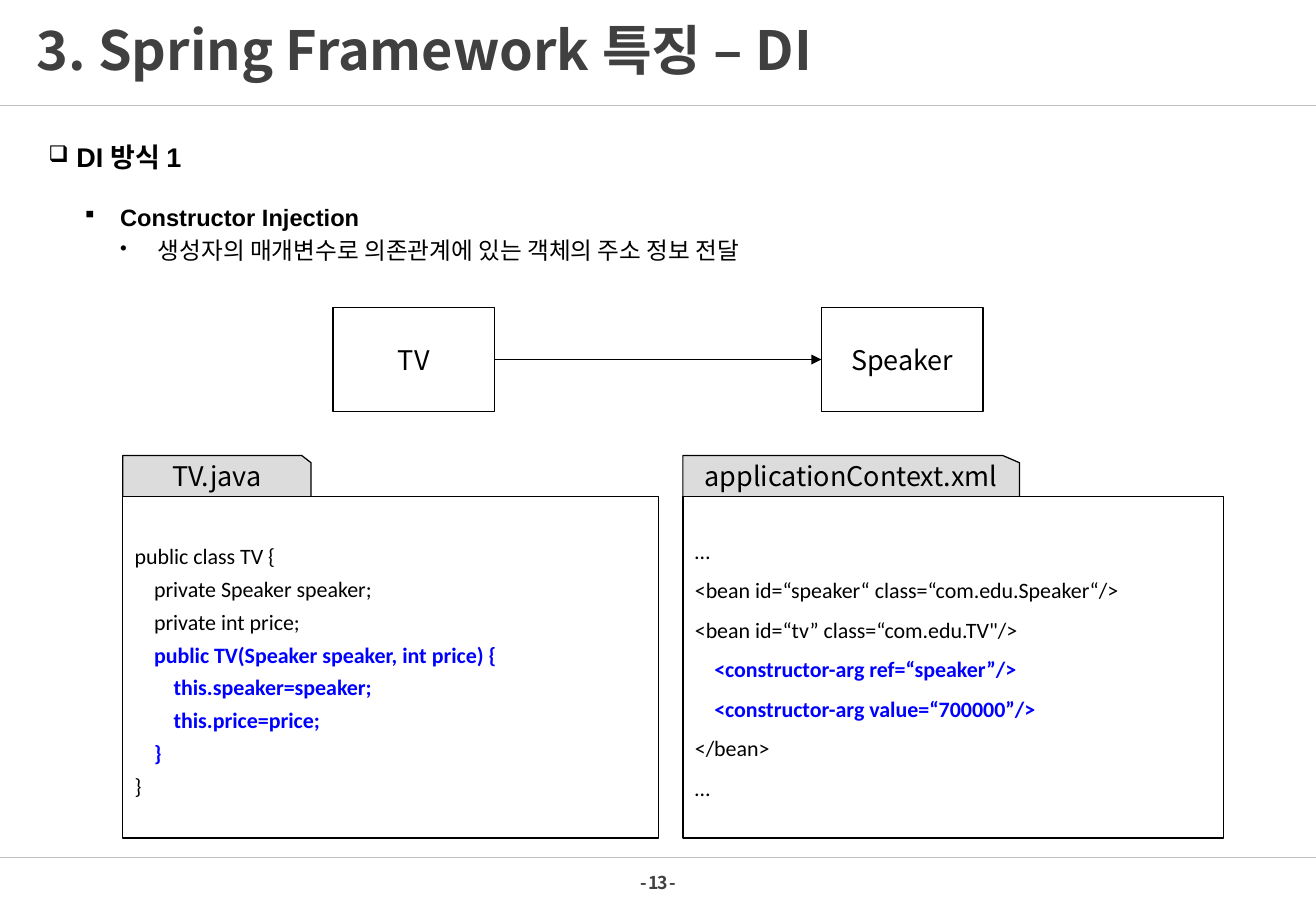
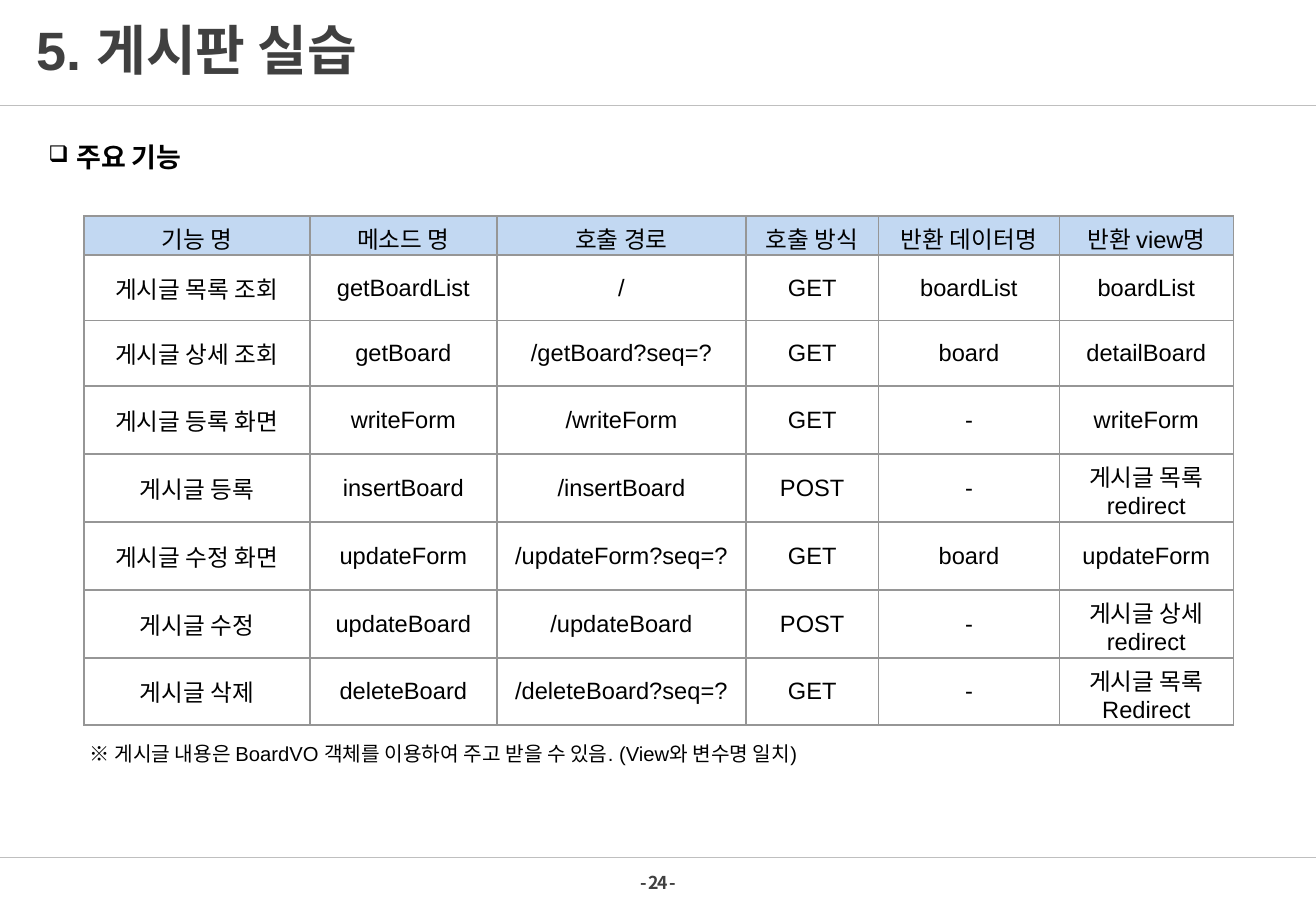
from dataclasses import dataclass

from lxml.etree import SubElement
from pptx import Presentation
from pptx.dml.color import RGBColor
from pptx.enum.shapes import MSO_CONNECTOR, MSO_SHAPE
from pptx.enum.text import MSO_ANCHOR, MSO_AUTO_SIZE, PP_ALIGN
from pptx.oxml.ns import qn
from pptx.util import Inches, Pt


@dataclass(frozen=True)
class Theme:
    black = RGBColor(0x00, 0x00, 0x00)
    white = RGBColor(0xFF, 0xFF, 0xFF)
    title_grey = RGBColor(0x40, 0x40, 0x40)
    rule_grey = RGBColor(0xBF, 0xBF, 0xBF)
    tab_grey = RGBColor(0xDC, 0xDC, 0xDC)
    border_grey = RGBColor(0x96, 0x96, 0x96)
    header_blue = RGBColor(0xC2, 0xD8, 0xF2)
    code_blue = RGBColor(0x00, 0x00, 0xFF)
    sans = "Noto Sans CJK KR"
    latin = "Arial"
    code = "Calibri"
    title_size = Pt(32)
    heading_size = Pt(16)
    body_size = Pt(14)
    code_size = Pt(13)
    note_size = Pt(12)
    page_size = Pt(10.5)
    code_indent = Inches(0.16)


THEME = Theme()


@dataclass(frozen=True)
class Box:
    """A region of the slide, in inches."""
    left: float
    top: float
    width: float
    height: float

    @property
    def lengths(self):
        return [Inches(v) for v in (self.left, self.top, self.width, self.height)]


def style(paragraph, size, face=THEME.latin, color=THEME.black, bold=False,
          align=PP_ALIGN.LEFT):
    paragraph.alignment = align
    font = paragraph.font
    font.size, font.name, font.bold = size, face, bold
    font.color.rgb = color
    SubElement(paragraph._p.pPr.find(qn("a:defRPr")), qn("a:ea"), typeface=THEME.sans)


def add_bullet(paragraph, char, left, hang):
    """Give the paragraph a hanging bullet; call before style()."""
    properties = paragraph._p.get_or_add_pPr()
    properties.set("marL", str(Inches(left)))
    properties.set("indent", str(-Inches(hang)))
    SubElement(properties, qn("a:buSzPct"), val="85000")
    SubElement(properties, qn("a:buChar"), char=char)


def set_insets(frame, left, top, right, bottom):
    frame.margin_left, frame.margin_top = Inches(left), Inches(top)
    frame.margin_right, frame.margin_bottom = Inches(right), Inches(bottom)


def add_text(slide, box, lines, wrap=False):
    """Add a text box and return its frame, one paragraph a line."""
    frame = slide.shapes.add_textbox(*box.lengths).text_frame
    frame.word_wrap = wrap
    frame.auto_size = MSO_AUTO_SIZE.SHAPE_TO_FIT_TEXT
    frame.text = "\n".join(lines)
    return frame


def add_line(slide, start, end, color, width):
    line = slide.shapes.add_connector(
        MSO_CONNECTOR.STRAIGHT, *(Inches(v) for v in (*start, *end)))
    line.line.color.rgb = color
    line.line.width = width
    SubElement(line._element.spPr, qn("a:effectLst"))
    return line


def paint(shape, fill):
    shape.shadow.inherit = False
    shape.fill.solid()
    shape.fill.fore_color.rgb = fill
    shape.line.color.rgb = THEME.black
    shape.line.width = Pt(0.75)
    shape.text_frame.vertical_anchor = MSO_ANCHOR.MIDDLE


def add_label(shape, text):
    shape.text_frame.text = text
    style(shape.text_frame.paragraphs[0], THEME.heading_size, THEME.sans,
          align=PP_ALIGN.CENTER)


def add_rectangle(slide, box):
    rectangle = slide.shapes.add_shape(MSO_SHAPE.RECTANGLE, *box.lengths)
    paint(rectangle, THEME.white)
    return rectangle


def add_framed_slide(deck, title, title_width, title_face, page, heading):
    """Add a slide with the shared rules, title, page number and heading."""
    slide = deck.slides.add_slide(deck.slide_layouts[5])
    for y in (7.06, 0.87):
        add_line(slide, (10.83, y), (0, y), THEME.rule_grey, Pt(0.5))

    holder = slide.shapes.title
    holder.left, holder.top, holder.width, holder.height = Box(
        0.3, 0.2, title_width, 0.48).lengths
    frame = holder.text_frame
    frame.text = title
    frame.word_wrap = False
    frame.auto_size = MSO_AUTO_SIZE.SHAPE_TO_FIT_TEXT
    frame.vertical_anchor = MSO_ANCHOR.MIDDLE
    set_insets(frame, 0, 0, 0, 0)
    frame.paragraphs[0].line_spacing = 0.9
    style(frame.paragraphs[0], THEME.title_size, title_face, THEME.title_grey, True)

    number = add_text(slide, Box(5.14, 7.12, 0.56, 0.29), [f"- {page} -"])
    number.vertical_anchor = MSO_ANCHOR.MIDDLE
    style(number.paragraphs[0], THEME.page_size, THEME.sans, THEME.title_grey, True,
          PP_ALIGN.CENTER)
    number.paragraphs[0]._p.pPr.find(qn("a:defRPr")).set("spc", "-70")

    topic = add_text(slide, Box(0.3, 1.11, 1.42, 0.37), [heading]).paragraphs[0]
    topic.space_before = Pt(3)
    add_bullet(topic, "❑", 0.23, 0.23)
    style(topic, THEME.heading_size, bold=True)
    return slide


def add_summary(slide, box, point, detail):
    frame = add_text(slide, box, [point, detail])
    for level, (paragraph, char) in enumerate(zip(frame.paragraphs, "▪•"), 1):
        paragraph.space_before = Pt(3)
        add_bullet(paragraph, char, 0.31 * level, 0.31)
        style(paragraph, THEME.body_size, bold=level == 1)


def add_dependency(slide, box, user, used):
    """Draw two boxes at the ends of the region, joined by an arrow."""
    width = 1.33
    ends = []
    for left, name in ((box.left, user), (box.left + box.width - width, used)):
        ends.append(add_rectangle(slide, Box(left, box.top, width, box.height)))
        add_label(ends[-1], name)
    middle = box.top + box.height / 2
    arrow = add_line(slide, (box.left + width, middle),
                     (box.left + box.width - width, middle), THEME.black, Pt(1))
    arrow.begin_connect(ends[0], 3)
    arrow.end_connect(ends[1], 1)
    SubElement(arrow.line._get_or_add_ln(), qn("a:tailEnd"), type="triangle")


def add_code_panel(slide, box, file_name, tab_width, lines, spacing,
                   insets=(0.1, 0.05, 0.1, 0.05)):
    """Draw a file tab above a code box; lines are (depth, text, highlighted)."""
    tab_height, shoulder, drop = 0.34, 0.05 * tab_width, 0.06
    body_top, tab_right = box.top + tab_height, box.left + tab_width
    outline = [(box.left, body_top), (box.left, box.top),
               (tab_right - shoulder, box.top), (tab_right, box.top + drop),
               (tab_right, body_top)]
    points = [(Inches(x), Inches(y)) for x, y in outline]
    builder = slide.shapes.build_freeform(*points[0])
    builder.add_line_segments(points[1:], close=False)
    tab = builder.convert_to_shape()
    paint(tab, THEME.tab_grey)
    add_label(tab, file_name)

    body = add_rectangle(
        slide, Box(box.left, body_top, box.width, box.height - tab_height))
    frame = body.text_frame
    set_insets(frame, *insets)
    frame.text = "\n".join(text for _, text, _ in lines)
    for paragraph, (depth, _, highlighted) in zip(frame.paragraphs, lines):
        paragraph.line_spacing = spacing
        style(paragraph, THEME.code_size, THEME.code,
              THEME.code_blue if highlighted else THEME.black, highlighted)
        paragraph._p.pPr.set("marL", str(depth * THEME.code_indent))


def add_cell_borders(cell):
    properties = cell._tc.get_or_add_tcPr()
    for side in ("lnL", "lnR", "lnT", "lnB"):
        border = SubElement(properties, qn(f"a:{side}"), w=str(Pt(1)))
        fill = SubElement(border, qn("a:solidFill"))
        SubElement(fill, qn("a:srgbClr"), val=str(THEME.border_grey))


def add_grid(slide, box, rows, column_widths, row_heights):
    table = slide.shapes.add_table(len(rows), len(column_widths), *box.lengths).table
    table.first_row = table.horz_banding = False
    for column, width in zip(table.columns, column_widths):
        column.width = Inches(width)
    for r, (values, height) in enumerate(zip(rows, row_heights)):
        table.rows[r].height = Inches(height)
        for c, value in enumerate(values):
            cell = table.cell(r, c)
            add_cell_borders(cell)
            cell.fill.solid()
            cell.fill.fore_color.rgb = THEME.white if r else THEME.header_blue
            cell.vertical_anchor = MSO_ANCHOR.MIDDLE
            set_insets(cell, 0.09, 0.04, 0.09, 0.04)
            cell.text_frame.text = value
            for paragraph in cell.text_frame.paragraphs:
                style(paragraph, THEME.body_size, align=PP_ALIGN.CENTER)


JAVA_CODE = [
    (0, "public class TV {", False),
    (1, "private Speaker speaker;", False),
    (1, "private int price;", False),
    (1, "public TV(Speaker speaker, int price) {", True),
    (2, "this.speaker=speaker;", True),
    (2, "this.price=price;", True),
    (1, "}", True),
    (0, "}", False),
]

XML_CODE = [
    (0, "…", False),
    (0, "<bean id=“speaker“ class=“com.edu.Speaker“/>", False),
    (0, "<bean id=“tv” class=“com.edu.TV\"/>", False),
    (1, "<constructor-arg ref=“speaker”/>", True),
    (1, "<constructor-arg value=“700000”/>", True),
    (0, "</bean>", False),
    (0, "…", False),
]

BOARD_FUNCTIONS = [
    ("기능 명", "메소드 명", "호출 경로", "호출 방식", "반환 데이터명", "반환 view명"),
    ("게시글 목록 조회", "getBoardList", "/", "GET", "boardList", "boardList"),
    ("게시글 상세 조회", "getBoard", "/getBoard?seq=?", "GET", "board", "detailBoard"),
    ("게시글 등록 화면", "writeForm", "/writeForm", "GET", "-", "writeForm"),
    ("게시글 등록", "insertBoard", "/insertBoard", "POST", "-", "게시글 목록\nredirect"),
    ("게시글 수정 화면", "updateForm", "/updateForm?seq=?", "GET", "board", "updateForm"),
    ("게시글 수정", "updateBoard", "/updateBoard", "POST", "-", "게시글 상세\nredirect"),
    ("게시글 삭제", "deleteBoard", "/deleteBoard?seq=?", "GET", "-", "게시글 목록\nRedirect"),
]


def add_injection_slide(deck):
    slide = add_framed_slide(deck, "3. Spring Framework 특징 – DI", 6.69, THEME.sans,
                             13, "DI 방식 1")
    add_code_panel(slide, Box(1.01, 3.75, 4.41, 3.15), "TV.java", 1.55, JAVA_CODE, 1.25)
    add_code_panel(slide, Box(5.62, 3.75, 4.45, 3.15), "applicationContext.xml", 2.77,
                   XML_CODE, 1.5, (0.1, 0, 0.1, 0.08))
    add_dependency(slide, Box(2.74, 2.53, 5.35, 0.86), "TV", "Speaker")
    add_summary(slide, Box(0.58, 1.62, 6.22, 0.62), "Constructor Injection",
                "생성자의 매개변수로 의존관계에 있는 객체의 주소 정보 전달")


def add_board_slide(deck):
    slide = add_framed_slide(deck, "5. 게시판 실습", 2.94, THEME.latin, 24, "주요 기능")
    add_grid(slide, Box(0.69, 1.78, 9.46, 4.19), BOARD_FUNCTIONS,
             (1.86, 1.54, 2.05, 1.09, 1.49, 1.43),
             (0.32, 0.54, 0.54, 0.56, 0.56, 0.56, 0.56, 0.55))
    note = add_text(
        slide, Box(0.64, 6.05, 8.99, 0.3),
        ["※ 게시글 내용은 BoardVO 객체를 이용하여 주고 받을 수 있음. (View와 변수명 일치)"],
        wrap=True).paragraphs[0]
    note.space_before = Pt(2.4)
    style(note, THEME.note_size)


def main():
    deck = Presentation()
    deck.slide_width, deck.slide_height = Inches(10.83), Inches(7.5)
    add_injection_slide(deck)
    add_board_slide(deck)
    deck.save("out.pptx")


if __name__ == "__main__":
    main()
